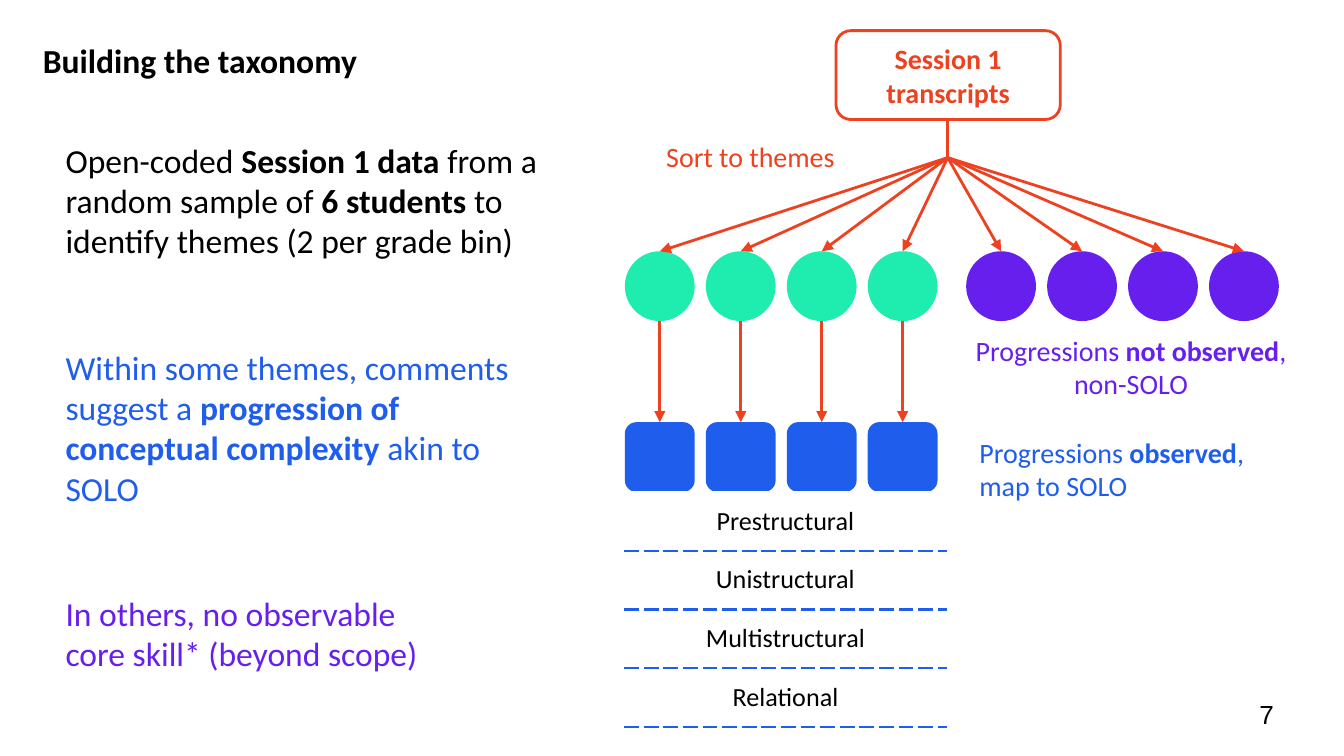
from dataclasses import dataclass

from lxml.etree import SubElement
from pptx import Presentation
from pptx.dml.color import RGBColor as Color
from pptx.enum.shapes import MSO_CONNECTOR as Connector, MSO_SHAPE as Preset
from pptx.enum.text import MSO_ANCHOR as Anchor, PP_ALIGN as Align
from pptx.oxml import parse_xml
from pptx.oxml.ns import nsdecls, qn
from pptx.util import Cm, Pt


@dataclass(frozen=True)
class Theme:
    black: str = "000000"
    orange: str = "ED411F"
    green: str = "1FEDAF"
    blue: str = "1F5DED"
    purple: str = "671FED"
    body: int = 18
    label: int = 15
    small: int = 14
    stroke: float = 1.5
    font: str = "Calibri"
    number_font: str = "Arial"


THEME = Theme()
NODE = 1.32
PITCH = 1.53
THEMES_LEFT, OTHERS_LEFT = 11.81, 18.26
CIRCLES_TOP, SQUARES_TOP = 4.75, 7.98
HUB = (17.91, 2.98)
LEVELS = ["Prestructural", "Unistructural", "Multistructural", "Relational"]


def apply(target, values):
    for name, value in values.items():
        setattr(target, name, value)


def write(frame, text, size, color, align=Align.LEFT, font=THEME.font):
    para = frame.paragraphs[0]
    para.alignment = align
    for index, piece in enumerate(text.split("**")):
        if piece:
            span = para.add_run()
            span.text = piece
            apply(span.font, {"name": font, "size": Pt(size), "bold": index % 2 == 1})
            span.font.color.rgb = Color.from_string(color)


def set_frame(frame, anchor):
    margins = dict.fromkeys(
        ["margin_left", "margin_right", "margin_top", "margin_bottom"], Cm(0.25))
    apply(frame, {"word_wrap": True, "vertical_anchor": anchor, **margins})


def add_text(page, place, text, size, color, anchor=Anchor.TOP, **options):
    box = page.shapes.add_textbox(*map(Cm, place))
    set_frame(box.text_frame, anchor)
    write(box.text_frame, text, size, color, **options)


def add_node(page, preset, left, top, color):
    node = page.shapes.add_shape(preset, Cm(left), Cm(top), Cm(NODE), Cm(NODE))
    node.shadow.inherit = False
    node.fill.solid()
    node.fill.fore_color.rgb = Color.from_string(color)
    node.line.fill.background()


def add_source(page, place, text):
    box = page.shapes.add_shape(Preset.ROUNDED_RECTANGLE, *map(Cm, place))
    box.shadow.inherit = False
    box.fill.background()
    box.line.color.rgb = Color.from_string(THEME.orange)
    box.line.width = Pt(THEME.stroke)
    set_frame(box.text_frame, Anchor.MIDDLE)
    write(box.text_frame, text, THEME.label, THEME.orange, Align.CENTER)


def add_line(page, start, end, arrow=True):
    line = page.shapes.add_connector(Connector.STRAIGHT, *map(Cm, (*start, *end)))
    line.line.color.rgb = Color.from_string(THEME.orange)
    line.line.width = Pt(THEME.stroke)
    if arrow:
        SubElement(line.line._get_or_add_ln(), qn("a:tailEnd"), type="triangle")
    SubElement(line._element.spPr, qn("a:effectLst"))


def add_border(cell, side):
    border = parse_xml(
        f'<a:{side} {nsdecls("a")} w="{Pt(THEME.stroke)}"><a:solidFill>'
        f'<a:srgbClr val="{THEME.blue}"/></a:solidFill>'
        f'<a:prstDash val="dash"/></a:{side}>')
    cell._tc.get_or_add_tcPr().insert(0, border)


def add_levels(page, left, top, width, row_height):
    count = len(LEVELS)
    table = page.shapes.add_table(
        count, 1, Cm(left), Cm(top), Cm(width), Cm(row_height * count)).table
    apply(table, {"first_row": False, "horz_banding": False})
    margins = dict.fromkeys(
        ["margin_left", "margin_right", "margin_top", "margin_bottom"], Cm(0.25))
    for index, level in enumerate(LEVELS):
        cell = table.cell(index, 0)
        apply(cell, margins)
        cell.fill.background()
        write(cell.text_frame, level, THEME.small, THEME.black, Align.CENTER)
        add_border(cell, "lnB")
        if index:
            add_border(cell, "lnT")


def add_tree(page):
    add_source(page, (15.8, 0.58, 4.24, 1.68), "**Session 1 transcripts**")
    add_line(page, (HUB[0], 2.26), HUB, arrow=False)
    for start, color in ((THEMES_LEFT, THEME.green), (OTHERS_LEFT, THEME.purple)):
        for index in range(4):
            left = start + index * PITCH
            center = left + NODE / 2
            add_node(page, Preset.OVAL, left, CIRCLES_TOP, color)
            add_line(page, HUB, (center, CIRCLES_TOP))
            if start == THEMES_LEFT:
                add_node(page, Preset.ROUNDED_RECTANGLE, left, SQUARES_TOP, THEME.blue)
                add_line(page, (center, CIRCLES_TOP + NODE), (center, SQUARES_TOP))


def main():
    deck = Presentation()
    apply(deck, {"slide_width": Cm(25.4), "slide_height": Cm(14.29)})
    page = deck.slides.add_slide(deck.slide_layouts[6])

    add_text(page, (0.56, 0.51, 7.52, 1.55), "**Building the taxonomy**",
             THEME.body, THEME.black)
    add_text(page, (0.99, 2.39, 9.98, 2.92),
             "Open-coded **Session 1 data** from a random sample of "
             "**6 students** to identify themes (2 per grade bin)",
             THEME.body, THEME.black)
    add_text(page, (0.99, 6.3, 9.07, 3.66),
             "Within some themes, comments suggest a "
             "**progression of conceptual complexity** akin to SOLO",
             THEME.body, THEME.blue)
    add_text(page, (0.99, 10.95, 8, 2.13),
             "In others, no observable core skill* (beyond scope)",
             THEME.body, THEME.purple)

    add_tree(page)
    add_levels(page, THEMES_LEFT, SQUARES_TOP + NODE, 6.07, 1.11)

    add_text(page, (17.96, 6.05, 6.83, 1.17), "Progressions **not observed**, non-SOLO",
             THEME.label, THEME.purple, align=Align.CENTER)
    add_text(page, (18.26, 7.98, 6.22, 1.68), "Progressions **observed**, map to SOLO",
             THEME.label, THEME.blue)
    add_text(page, (11.96, 2.39, 4.45, 1.17), "Sort to themes",
             THEME.label, THEME.orange, align=Align.CENTER)
    add_text(page, (23.55, 12.95, 1.52, 1.09), "7", THEME.small, THEME.black,
             anchor=Anchor.MIDDLE, font=THEME.number_font)
    deck.save("out.pptx")


if __name__ == "__main__":
    main()
